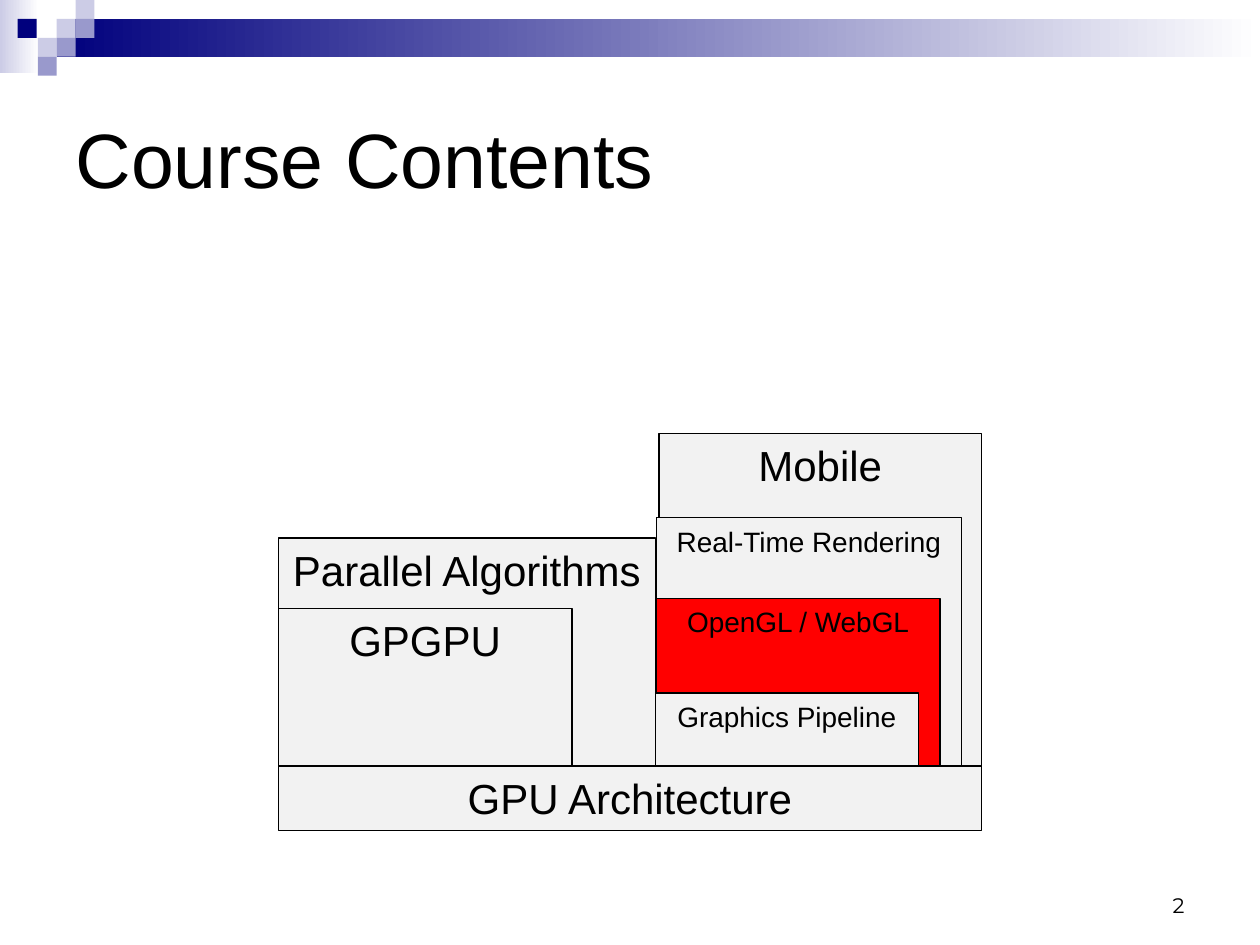
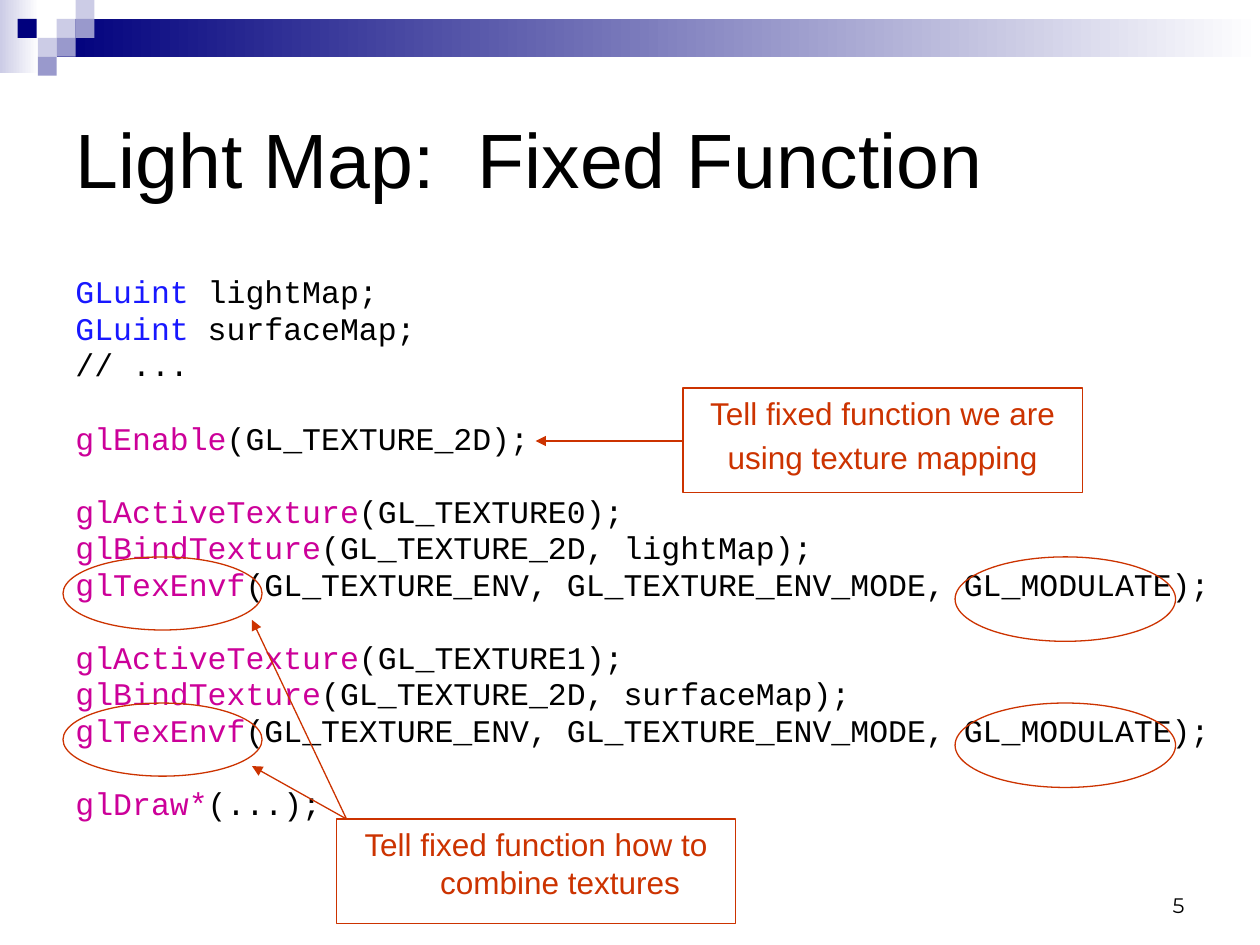
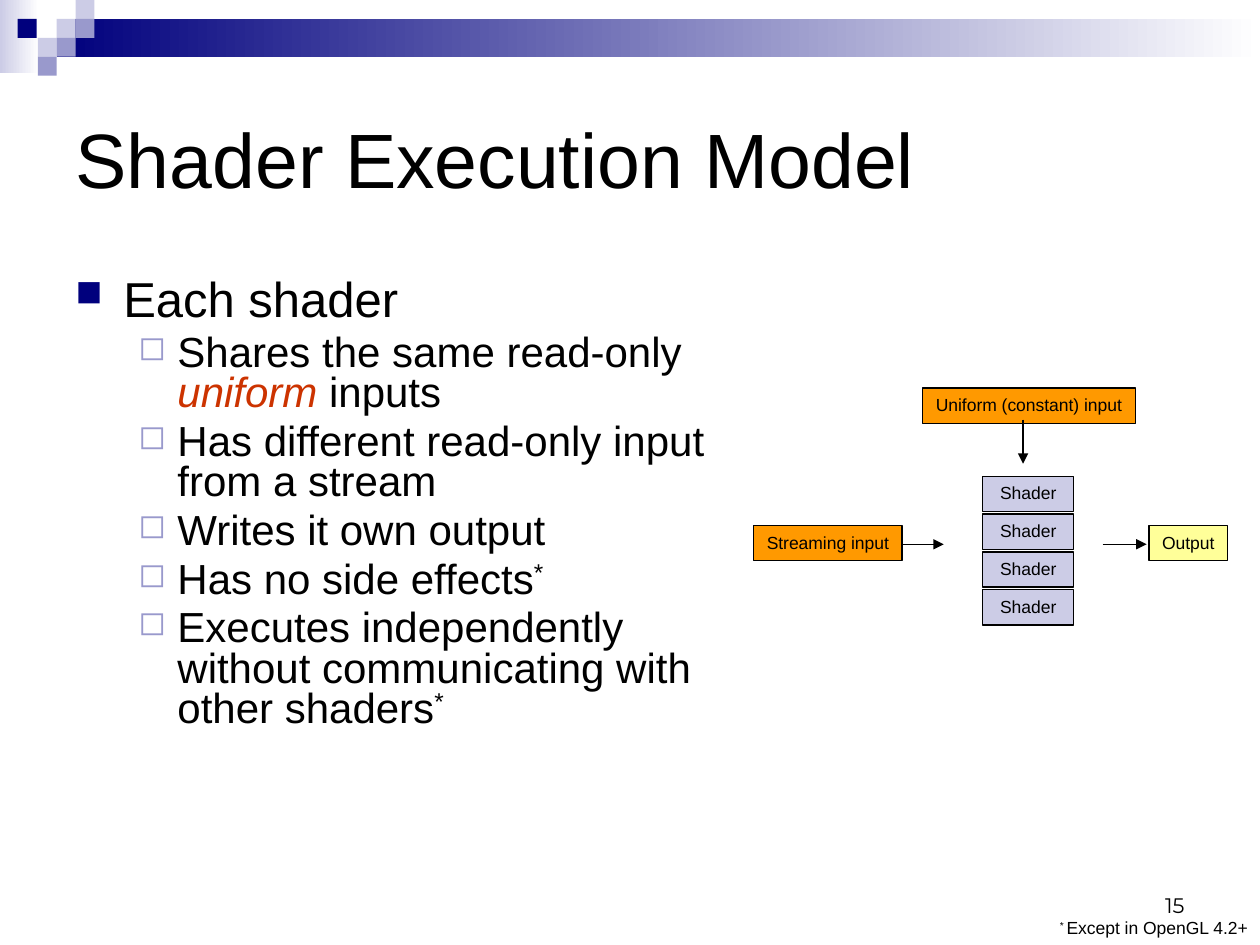
"""Build three graphics course slides with a shared checkered band and title style."""
import pptx
import pptx.dml.color
import pptx.enum.shapes
import pptx.enum.text
import pptx.oxml.ns
import pptx.util
from lxml import etree

Inches = pptx.util.Inches
Pt = pptx.util.Pt
RGBColor = pptx.dml.color.RGBColor
SHAPE = pptx.enum.shapes.MSO_SHAPE
ALIGN = pptx.enum.text.PP_ALIGN
ANCHOR = pptx.enum.text.MSO_ANCHOR
qn = pptx.oxml.ns.qn

BLACK = RGBColor(0x00, 0x00, 0x00)
WHITE = RGBColor(0xFF, 0xFF, 0xFF)
NAVY = RGBColor(0x00, 0x00, 0x7D)
LILAC = RGBColor(0x99, 0x99, 0xCC)
PALE = RGBColor(0xCC, 0xCC, 0xE6)
GREY = RGBColor(0xF2, 0xF2, 0xF2)
RED = RGBColor(0xFF, 0x00, 0x00)
RUST = RGBColor(0xCC, 0x33, 0x00)
ORANGE = RGBColor(0xFF, 0x99, 0x00)
YELLOW = RGBColor(0xFF, 0xFF, 0x99)
BLUE = RGBColor(0x18, 0x18, 0xFF)
MAGENTA = RGBColor(0xCC, 0x00, 0x99)


def write(p, text, font="Arial", size=18, color=BLACK, italic=False, raised=False):
    r = p.add_run()
    r.text = text
    r.font.name = font
    r.font.size = Pt(size)
    r.font.color.rgb = color
    if italic:
        r.font.italic = True
    if raised:
        r._r.get_or_add_rPr().set("baseline", "30000")


def indent(p, left, hanging):
    pPr = p._p.get_or_add_pPr()
    pPr.set("marL", str(Inches(left)))
    pPr.set("indent", str(-Inches(hanging)))


def bullet(p, char, color, percent):
    pPr = p._p.get_or_add_pPr()
    clr = etree.SubElement(pPr, qn("a:buClr"))
    etree.SubElement(clr, qn("a:srgbClr"), val=str(color))
    etree.SubElement(pPr, qn("a:buSzPct"), val=str(percent * 1000))
    etree.SubElement(pPr, qn("a:buChar"), char=char)


class Deck:
    def __init__(self):
        self.prs = pptx.Presentation()
        self.prs.slide_width = Inches(10)
        self.prs.slide_height = Inches(7.5)
        self.slide = None

    def add_slide(self, title, number):
        self.slide = self.prs.slides.add_slide(self.prs.slide_layouts[5])
        sp = self.slide.shapes.title
        sp.left, sp.top, sp.width, sp.height = map(Inches, (0.5, 0.5, 9, 1.5))
        tf = sp.text_frame
        tf.auto_size = pptx.enum.text.MSO_AUTO_SIZE.NONE
        tf.vertical_anchor = ANCHOR.MIDDLE
        tf.paragraphs[0].alignment = ALIGN.LEFT
        write(tf.paragraphs[0], title, size=44)
        p = self.text_frame((7.17, 6.83, 2.33, 0.5), ANCHOR.BOTTOM).paragraphs[0]
        p.alignment = ALIGN.RIGHT
        write(p, str(number), font="Montserrat", size=12)

    def add_master_band(self):
        bars = [((0, 0, 0.31, 0.58), PALE), ((0.45, 0.15, 9.55, 0.3), NAVY)]
        squares = [(0.45, 0.15, PALE), (0.6, 0, PALE), (0.6, 0.15, LILAC),
                   (0.3, 0.3, PALE), (0.14, 0.15, NAVY), (0.45, 0.3, LILAC),
                   (0.3, 0.45, LILAC)]
        shapes = [self.fade(at, color) for at, color in bars]
        shapes += [self.shape((x, y, 0.15, 0.15), fill=color, line=None)
                   for x, y, color in squares]
        tree = self.prs.slide_master.shapes.element
        for i, sp in enumerate(shapes):
            sp.element.nvSpPr.cNvPr.set("id", str(100 + i))
            tree.insert(2 + i, sp.element)

    def text_frame(self, at, anchor=ANCHOR.TOP):
        tf = self.slide.shapes.add_textbox(*map(Inches, at)).text_frame
        tf.word_wrap = True
        tf.vertical_anchor = anchor
        return tf

    def shape(self, at, kind=SHAPE.RECTANGLE, fill=None, line=BLACK):
        sp = self.slide.shapes.add_shape(kind, *map(Inches, at))
        sp.shadow.inherit = False
        if fill is None:
            sp.fill.background()
        else:
            sp.fill.solid()
            sp.fill.fore_color.rgb = fill
        if line is None:
            sp.line.fill.background()
        else:
            sp.line.color.rgb = line
            sp.line.width = Pt(0.75)
        return sp

    def fade(self, at, color):
        sp = self.shape(at, line=None)
        sp.fill.gradient()
        sp.fill.gradient_angle = 0
        for stop, rgb, position in zip(sp.fill.gradient_stops, (color, WHITE), (0, 1)):
            stop.color.rgb = rgb
            stop.position = position
        return sp

    def box(self, at, text, fill, size, wrap=True):
        tf = self.shape(at, fill=fill).text_frame
        tf.word_wrap = wrap
        tf.vertical_anchor = ANCHOR.TOP
        p = tf.paragraphs[0]
        p.alignment = ALIGN.CENTER
        write(p, text, size=size)

    def callout(self, at, lines):
        tf = self.shape(at, line=RUST).text_frame
        tf.word_wrap = True
        tf.vertical_anchor = ANCHOR.TOP
        for i, line in enumerate(lines):
            p = tf.add_paragraph() if i else tf.paragraphs[0]
            p.alignment = ALIGN.CENTER
            p.space_before = Pt(3.6)
            indent(p, 0.38, 0.38)
            write(p, line, color=RUST)

    def ellipse(self, at):
        self.shape(at, SHAPE.OVAL, line=RUST)

    def arrow(self, start, end, color=BLACK):
        cn = self.slide.shapes.add_connector(
            pptx.enum.shapes.MSO_CONNECTOR.STRAIGHT, *map(Inches, start + end))
        cn.line.color.rgb = color
        cn.line.width = Pt(0.75)
        etree.SubElement(cn.line._get_or_add_ln(), qn("a:tailEnd"), type="triangle")
        etree.SubElement(cn.element.spPr, qn("a:effectLst"))

    def code(self, at, blocks):
        tf = self.text_frame(at)
        p = tf.paragraphs[0]
        for b, block in enumerate(blocks):
            for i, (word, color, rest) in enumerate(block):
                if b or i:
                    p = tf.add_paragraph()
                p.line_spacing = 0.8
                p.space_before = Pt(24.5 if b and not i else 3.6)
                indent(p, 0.38, 0.38)
                write(p, word, font="Courier New", color=color)
                if rest:
                    write(p, rest, font="Courier New")

    def bullets(self, at, heading, items):
        tf = self.text_frame(at)
        p = tf.paragraphs[0]
        p.line_spacing = 0.8
        p.space_before = Pt(5.6)
        indent(p, 0.38, 0.38)
        bullet(p, "■", NAVY, 75)
        write(p, heading, size=28)
        for runs in items:
            p = tf.add_paragraph()
            p.level = 1
            p.line_spacing = 0.8
            p.space_before = Pt(4.8)
            indent(p, 0.81, 0.31)
            bullet(p, "◻", LILAC, 80)
            for text, fmt in runs:
                write(p, text, size=24, **fmt)


def course_contents(deck):
    deck.add_slide("Course Contents", 2)
    deck.add_master_band()
    for at, text, fill, size in [
        ((5.23, 3.44, 2.56, 2.93), "Mobile", GREY, 24),
        ((5.21, 4.11, 2.42, 1.99), "Real-Time Rendering", GREY, 16),
        ((5.21, 4.75, 2.25, 1.45), "OpenGL / WebGL", RED, 16),
        ((5.2, 5.5, 2.09, 0.64), "Graphics Pipeline", GREY, 16),
        ((2.21, 4.27, 2.99, 2.12), "Parallel Algorithms", GREY, 24),
        ((2.21, 4.83, 2.33, 1.31), "GPGPU", GREY, 24),
        ((2.21, 6.08, 5.58, 0.51), "GPU Architecture", GREY, 24),
    ]:
        deck.box(at, text, fill, size)


def light_map(deck):
    deck.add_slide("Light Map:  Fixed Function", 5)
    declarations = [("GLuint ", BLUE, "lightMap;"), ("GLuint ", BLUE, "surfaceMap;"),
                    ("// ...", BLACK, "")]
    textures = [[
        ("glActiveTexture", MAGENTA, f"(GL_TEXTURE{unit});"),
        ("glBindTexture", MAGENTA, f"(GL_TEXTURE_2D, {name});"),
        ("glTexEnvf", MAGENTA, "(GL_TEXTURE_ENV, GL_TEXTURE_ENV_MODE, GL_MODULATE);"),
    ] for unit, name in enumerate(("lightMap", "surfaceMap"))]
    deck.code((0.5, 2.17, 9.25, 4.75), [
        declarations, [("glEnable", MAGENTA, "(GL_TEXTURE_2D);")],
        *textures, [("glDraw*", MAGENTA, "(...);")]])
    deck.callout((5.42, 3.08, 3.17, 0.83),
                 ["Tell fixed function we are", "using texture mapping"])
    deck.arrow((5.42, 3.5), (4.25, 3.5), RUST)
    deck.callout((2.67, 6.5, 3.17, 0.83),
                 ["Tell fixed function how to combine textures"])
    for top, tip in ((4.42, 4.92), (5.58, 6.08)):
        deck.ellipse((0.5, top, 1.58, 0.58))
        deck.ellipse((7.58, top, 1.75, 0.67))
        deck.arrow((2.75, 6.5), (2, tip), RUST)


def shader_model(deck):
    deck.add_slide("Shader Execution Model", 15)
    star = ("*", {"raised": True})
    deck.bullets((0.5, 2.17, 5.42, 4.25), "Each shader", [
        [("Shares the same read-only ", {}),
         ("uniform", {"color": RUST, "italic": True}), (" inputs", {})],
        [("Has different read-only input from a stream", {})],
        [("Writes it own output", {})],
        [("Has no side effects", {}), star],
        [("Executes independently without communicating with other shaders", {}), star],
    ])
    deck.arrow((7.13, 4.32), (7.49, 4.32))
    for at, text, fill in [
        ((5.98, 4.17, 1.18, 0.28), "Streaming input", ORANGE),
        ((9.12, 4.17, 0.62, 0.28), "Output", YELLOW),
        ((7.32, 3.08, 1.69, 0.28), "Uniform (constant) input", ORANGE),
    ]:
        deck.box(at, text, fill, 10, wrap=False)
    for i in range(4):
        deck.box((7.8, 3.78 + 0.3 * i, 0.72, 0.28), "Shader", PALE, 10)
    deck.arrow((8.75, 4.32), (9.1, 4.32))
    deck.arrow((8.12, 3.33), (8.12, 3.68))
    p = deck.text_frame((0, 7.23, 10, 0.27)).paragraphs[0]
    p.alignment = ALIGN.RIGHT
    write(p, "* ", size=10, raised=True)
    write(p, "Except in OpenGL 4.2+", size=10)


def main():
    deck = Deck()
    course_contents(deck)
    light_map(deck)
    shader_model(deck)
    deck.prs.save("out.pptx")


if __name__ == "__main__":
    main()
